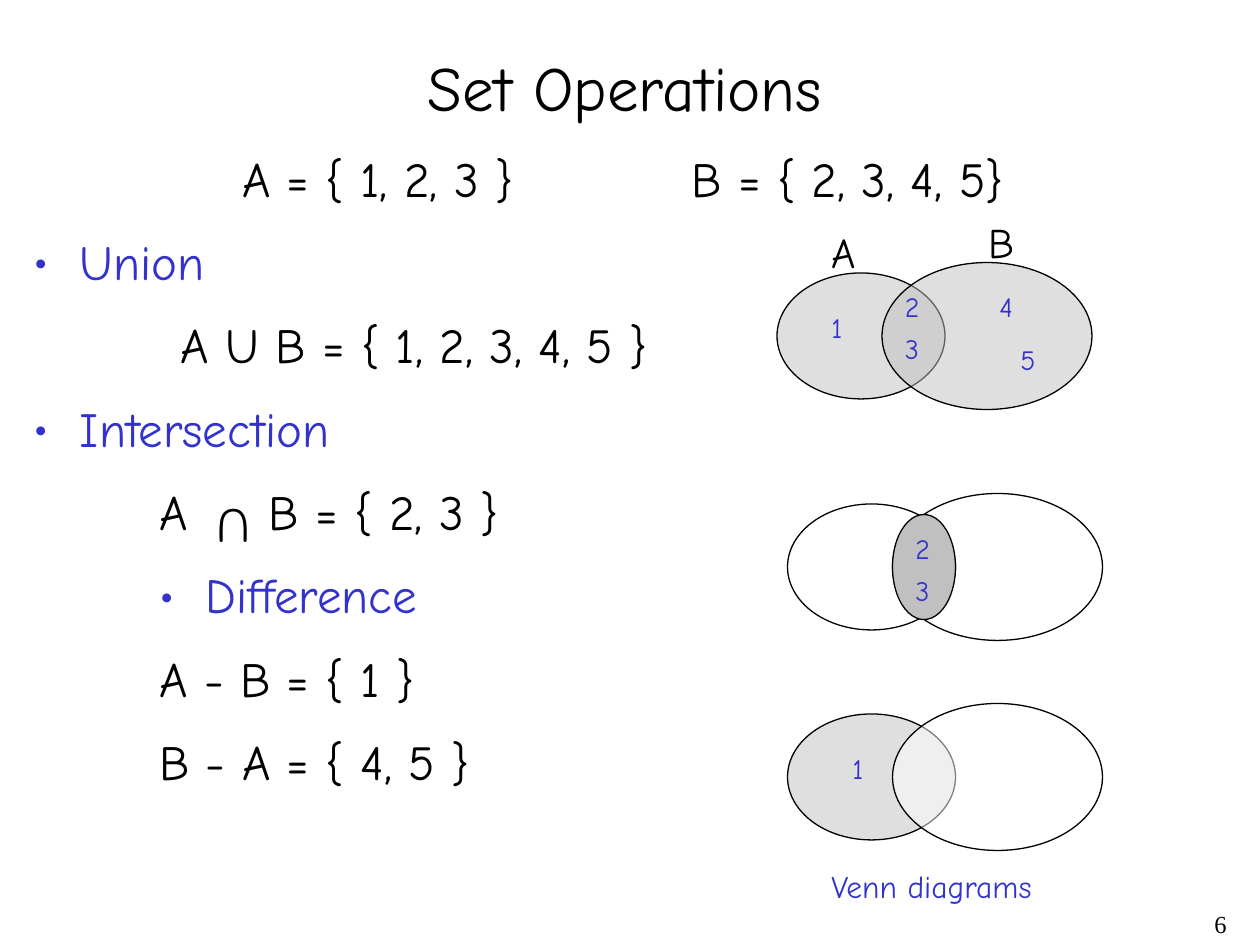
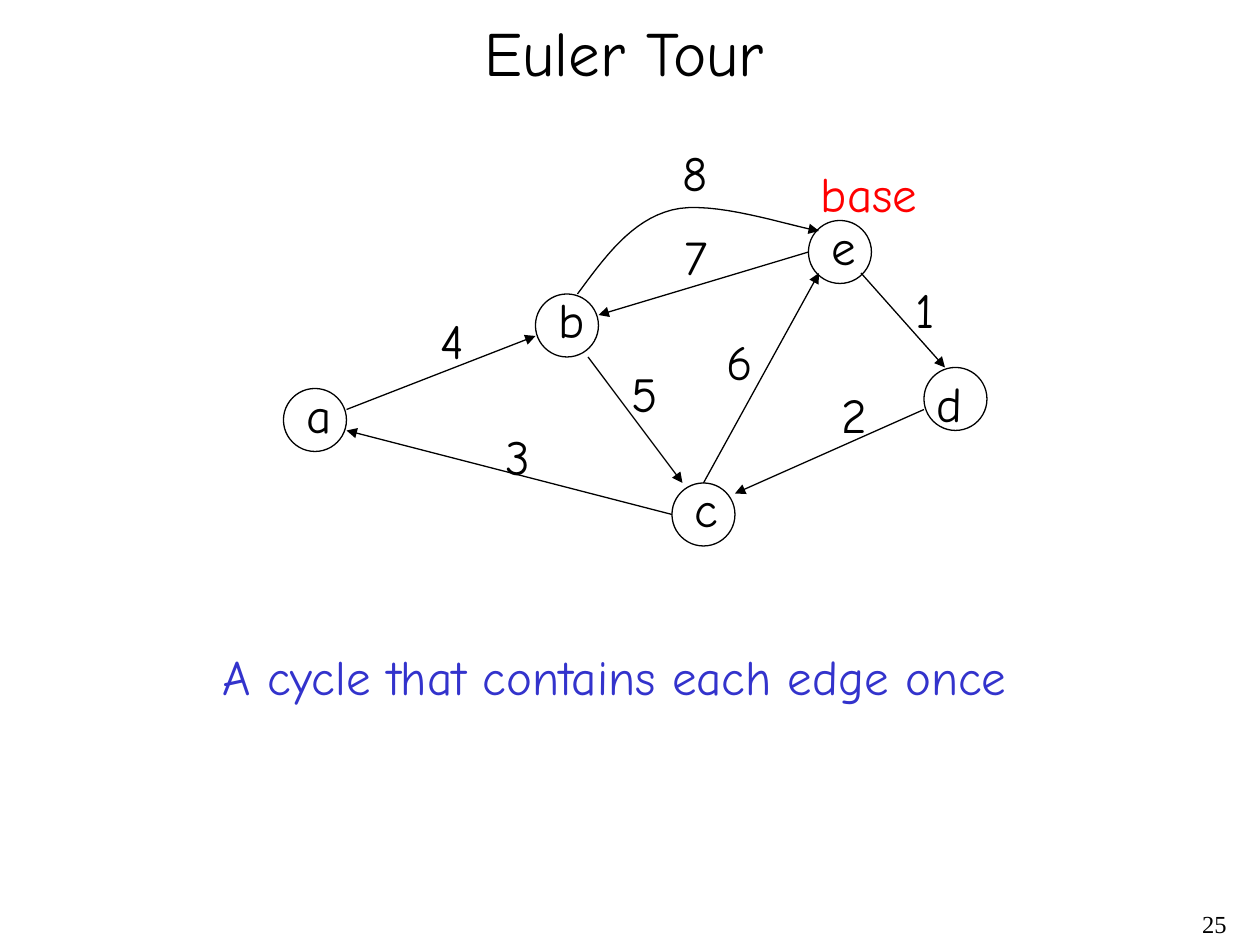
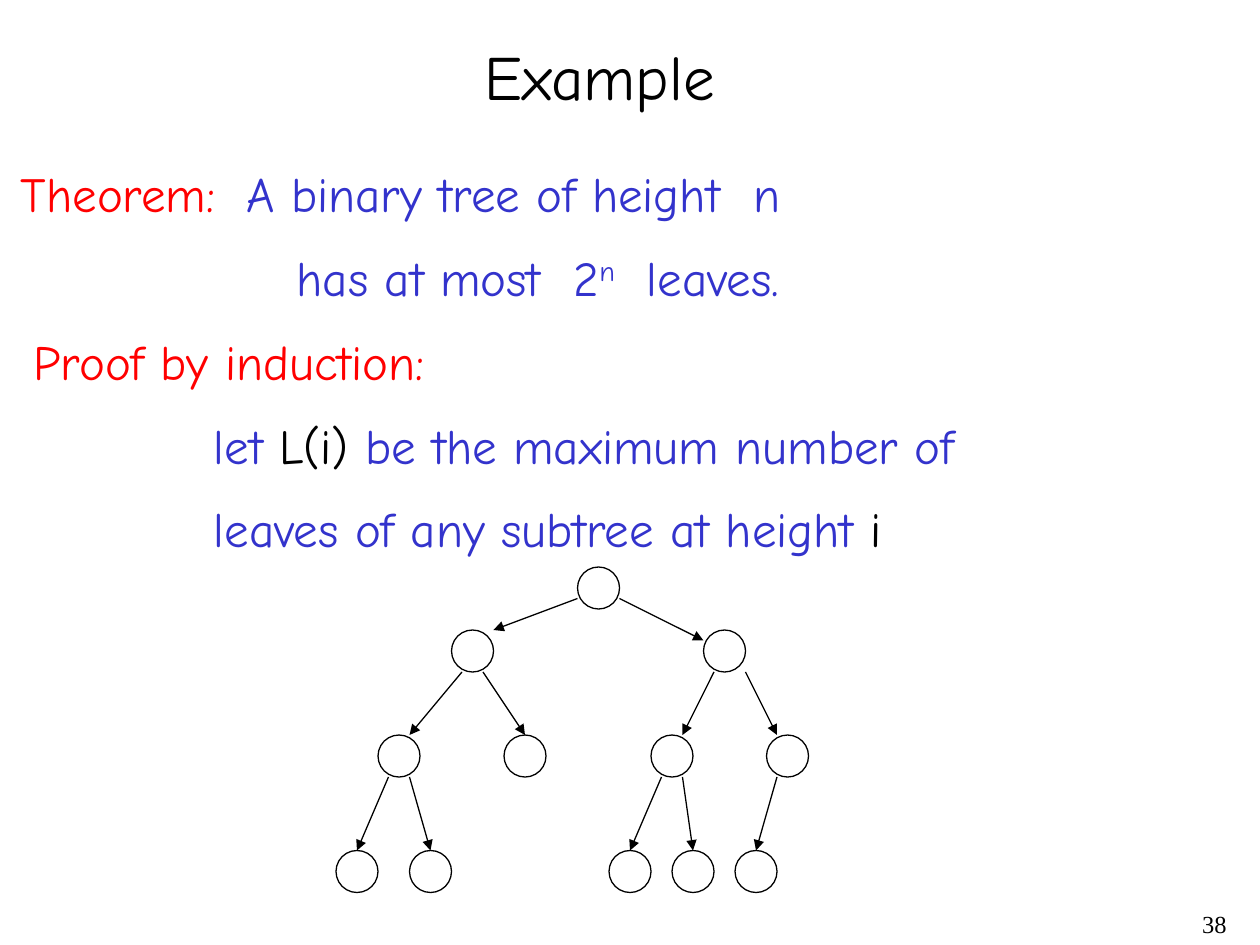
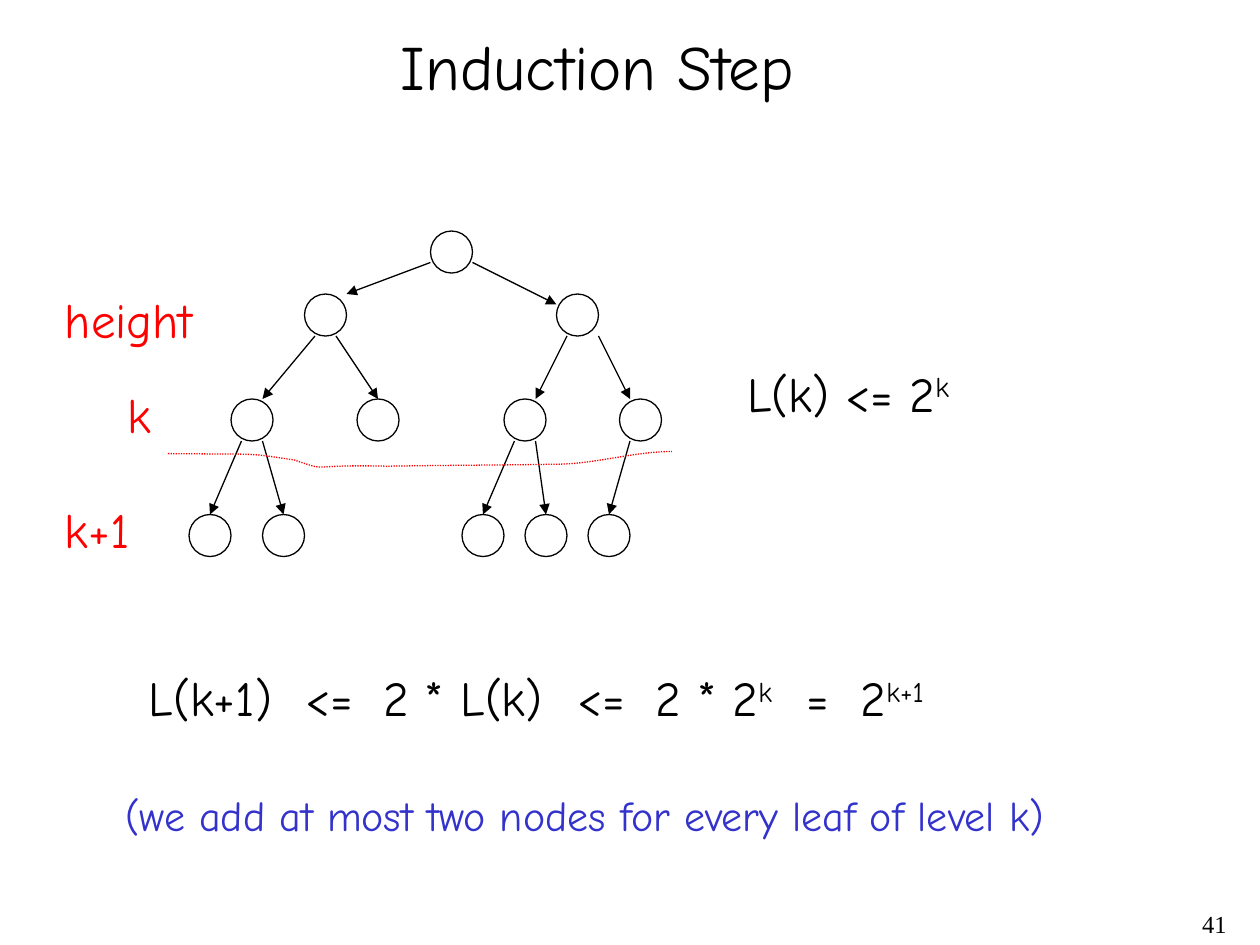
from dataclasses import dataclass
from typing import Optional

from lxml import etree
from pptx import Presentation
from pptx import util as u
from pptx.dml.color import RGBColor
from pptx.enum import dml, shapes, text
from pptx.oxml.ns import qn

COLORS = {"black": "000000", "blue": "3333CC", "red": "FF0000",
          "grey": "C0C0C0", "white": "FFFFFF"}
BODY_FONT = "Comic Neue"
NUMBER_FONT = "Times New Roman"
STEP = 2.54 / 12  # every position lies on a grid of twelve steps to the inch
NODE, LEAF = 6, 4  # circle diameters in steps
CURVE_PARTS = 16


@dataclass(frozen=True)
class Run:
    text: str
    color: Optional[str] = None
    raised: bool = False


@dataclass(frozen=True)
class Para:
    """A paragraph; left, hanging and tabs are in centimetres."""
    runs: tuple[Run, ...]
    size: Optional[int] = None
    color: Optional[str] = None
    left: float = 0
    hanging: float = 0
    tabs: tuple[float, ...] = ()
    centred: bool = False


@dataclass(frozen=True)
class Label:
    text: str
    x: float
    y: float
    width: float


@dataclass(frozen=True)
class Arrow:
    x1: float
    y1: float
    x2: float
    y2: float


def grid(steps: float) -> u.Length:
    return u.Cm(steps * STEP)


def rgb(name: str) -> RGBColor:
    return RGBColor.from_string(COLORS[name])


def line(words: str, **style) -> Para:
    return Para((Run(words),), **style)


# ---------- Text ----------
def format_paragraph(paragraph, para: Para, size: int, first: bool) -> None:
    if not first:
        paragraph.space_before = u.Pt(size / 2)
    if para.centred:
        paragraph.alignment = text.PP_ALIGN.CENTER
    props = paragraph._p.get_or_add_pPr()
    if para.left:
        props.set("marL", str(u.Cm(para.left)))
    if para.hanging:
        props.set("indent", str(-u.Cm(para.hanging)))
        etree.SubElement(props, qn("a:buFont"), typeface=BODY_FONT)
        etree.SubElement(props, qn("a:buChar"), char="•")
    # An explicit zero indent would make the renderer drop the tab stops
    if para.tabs:
        stops = etree.SubElement(props, qn("a:tabLst"))
        for stop in para.tabs:
            etree.SubElement(stops, qn("a:tab"), pos=str(u.Cm(stop)), algn="l")


def write_text(slide, content, x: float, y: float, width: float, *,
               height: Optional[float] = None, size: int = 28,
               color: str = "black", font: str = BODY_FONT,
               wrap: bool = False, right: bool = False, grow: bool = True):
    """Place a string or a list of paragraphs in a text box."""
    paras = [line(content)] if isinstance(content, str) else content
    if height is None:
        height = (1.2 * size + 1.7 * size * (len(paras) - 1) + 7.2) / 6
    box = slide.shapes.add_textbox(grid(x), grid(y), grid(width), grid(height))
    frame = box.text_frame
    frame.word_wrap = wrap
    if grow:
        frame.auto_size = text.MSO_AUTO_SIZE.SHAPE_TO_FIT_TEXT
    for i, para in enumerate(paras):
        paragraph = frame.add_paragraph() if i else frame.paragraphs[0]
        para_size = para.size or size
        format_paragraph(paragraph, para, para_size, first=i == 0)
        if right:
            paragraph.alignment = text.PP_ALIGN.RIGHT
        for part in para.runs:
            run = paragraph.add_run()
            run.text = part.text
            run.font.name = font
            run.font.size = u.Pt(para_size)
            run.font.color.rgb = rgb(part.color or para.color or color)
            if part.raised:
                run._r.get_or_add_rPr().set("baseline", "30000")
    return box


def write_labels(slide, labels: list[Label], **style) -> None:
    for label in labels:
        write_text(slide, label.text, label.x, label.y, label.width, **style)


# ---------- Drawing ----------
def style_line(item, color: str = "black", arrow: bool = False) -> None:
    item.line.color.rgb = rgb(color)
    item.line.width = u.Pt(0.75)
    if arrow:
        etree.SubElement(item.line._get_or_add_ln(), qn("a:tailEnd"), type="triangle")


def draw_oval(slide, x: float, y: float, width: float, height: float,
              fill: Optional[str] = None, alpha: int = 100) -> None:
    oval = slide.shapes.add_shape(shapes.MSO_SHAPE.OVAL, grid(x), grid(y),
                                  grid(width), grid(height))
    oval.shadow.inherit = False
    style_line(oval)
    if fill is None:
        oval.fill.background()
        return
    oval.fill.solid()
    oval.fill.fore_color.rgb = rgb(fill)
    if alpha < 100:
        tint = oval._element.spPr.find(qn("a:solidFill"))[0]
        etree.SubElement(tint, qn("a:alpha"), val=str(alpha * 1000))


def draw_arrow(slide, arrow: Arrow, dx: float = 0, dy: float = 0) -> None:
    connector = slide.shapes.add_connector(
        shapes.MSO_CONNECTOR.STRAIGHT, grid(arrow.x1 + dx), grid(arrow.y1 + dy),
        grid(arrow.x2 + dx), grid(arrow.y2 + dy))
    style_line(connector, arrow=True)
    etree.SubElement(connector._element.spPr, qn("a:effectLst"))


def draw_curve(slide, points: list[tuple[float, float]], color: str = "black",
               arrow: bool = False):
    """Draw joined cubic curves: a start, then three points for each curve."""
    trail = []
    for i in range(0, len(points) - 1, 3):
        p0, p1, p2, p3 = points[i:i + 4]
        for part in range(1, CURVE_PARTS + 1):
            t = part / CURVE_PARTS
            s = 1 - t
            trail.append(tuple(
                grid(s**3 * a + 3 * s * s * t * b + 3 * s * t * t * c + t**3 * d)
                for a, b, c, d in zip(p0, p1, p2, p3)))
    x, y = points[0]
    builder = slide.shapes.build_freeform(grid(x), grid(y))
    builder.add_line_segments(trail, close=False)
    curve = builder.convert_to_shape()
    curve.shadow.inherit = False
    curve.fill.background()
    style_line(curve, color, arrow)
    return curve


def draw_venn(slide, x: float, y: float, fill_a: Optional[str] = None,
              fill_b: Optional[str] = None) -> None:
    draw_oval(slide, x, y, 16, 12, fill_a, alpha=50)
    draw_oval(slide, x + 10, y - 1, 20, 14, fill_b, alpha=50)


# Binary tree, measured from the corner of its root: row top -> node lefts
TREE_ROWS = {0: (0,), 6: (-12, 12), 16: (-19, -7, 7, 18), 27: (-23, -16, 3, 9, 15)}
TREE_ARROWS = [
    Arrow(0, 3, -8, 6), Arrow(4, 3, 12, 7),
    Arrow(-11, 10, -16, 16), Arrow(-9, 10, -5, 16),
    Arrow(13, 10, 10, 16), Arrow(16, 10, 19, 16),
    Arrow(-18, 20, -21, 27), Arrow(-16, 20, -14, 27),
    Arrow(8, 20, 5, 27), Arrow(10, 20, 11, 27), Arrow(19, 20, 17, 27),
]


def draw_tree(slide, x: float, y: float) -> None:
    for top, lefts in TREE_ROWS.items():
        for left in lefts:
            draw_oval(slide, x + left, y + top, LEAF, LEAF)
    for arrow in TREE_ARROWS:
        draw_arrow(slide, arrow, x, y)


# ---------- Slides ----------
def new_slide(deck, number: int, title: Optional[Label] = None):
    slide = deck.slides.add_slide(deck.slide_layouts[6])
    write_text(slide, str(number), 93, 86, 25, height=4, size=14,
               font=NUMBER_FONT, wrap=True, right=True, grow=False)
    if title:
        write_labels(slide, [title], size=36)
    return slide


def build_set_operations(deck) -> None:
    slide = new_slide(deck, 6)
    write_text(slide, [
        line("Set Operations", size=36, centred=True),
        line("\tA = { 1, 2, 3 }\tB = { 2, 3, 4, 5}", tabs=(4.21, 13.27)),
        line("Union", color="blue", left=0.94, hanging=0.94),
        line("A U B = { 1, 2, 3, 4, 5 }", left=2.97),
        line("Intersection", color="blue", left=0.94, hanging=0.94),
        line("\tA\tB = { 2, 3 }", tabs=(2.54, 4.75)),
        line("Difference", color="blue", left=3.48, hanging=0.94),
        line("A - B = { 1 }", left=2.54),
        line("B - A = { 4, 5 }", left=2.54),
    ], 2, 4, 115, height=75.75, wrap=True)
    # The intersection sign is a U turned over
    cap = write_text(slide, "U", 19, 47, 6, wrap=True)
    cap.rotation = 180

    # Union, difference and intersection diagrams
    draw_venn(slide, 74, 26, "grey", "grey")
    draw_venn(slide, 75, 68, "grey", "white")
    draw_venn(slide, 75, 48)
    draw_oval(slide, 85, 49, 6, 10, "grey")
    write_labels(slide, [Label("A", 78, 21, 5.25), Label("B", 93, 20, 5)], size=24)
    write_labels(slide, [
        Label("2", 85, 27, 4), Label("3", 85, 31, 4), Label("1", 78, 29, 3.5),
        Label("4", 94, 27, 4), Label("5", 96, 32, 4),
        Label("2", 86, 50, 4), Label("3", 86, 54, 4), Label("1", 80, 71, 3.5),
    ], size=16, color="blue")
    write_text(slide, "Venn diagrams", 78, 82, 22.5, size=18, color="blue")


def build_euler_tour(deck) -> None:
    slide = new_slide(deck, 25, Label("Euler Tour", 45, 0.7, 32.25))
    # Vertices and edges
    for x, y in [(64, 46), (51, 28), (88, 35), (27, 37), (77, 21)]:
        draw_oval(slide, x, y, NODE, NODE)
    for arrow in [
        Arrow(33, 39, 51, 32), Arrow(56, 34, 65, 46), Arrow(67, 46, 78, 26),
        Arrow(88, 39, 70, 47), Arrow(64, 49, 33, 41), Arrow(82, 26, 90, 35),
        Arrow(77, 24, 57, 30),
    ]:
        draw_arrow(slide, arrow)
    draw_curve(slide, [(55, 28), (57.6, 24.5), (60.1, 21), (64, 20),
                       (67.8, 19), (75.1, 21.5), (78, 22)], arrow=True)
    # Vertex names, then the order of the edges
    write_labels(slide, [
        Label("a", 28, 36, 4.75), Label("b", 52, 27, 5.25), Label("c", 65, 45, 4.75),
        Label("d", 88, 35, 5.25), Label("e", 78, 20, 5),
        Label("1", 86, 26, 4.5), Label("2", 79, 36, 5.25), Label("3", 47, 40, 5.25),
        Label("4", 40.75, 29, 5.25), Label("5", 59, 34, 5.25),
        Label("6", 68, 31, 5.25), Label("7", 64, 21, 5.25),
        Label("8", 63.85, 13, 5.25),
    ])
    write_text(slide, "base", 77, 15, 12.25, color="red")
    write_text(slide, "A cycle that contains each edge once", 20, 61, 83, color="blue")


def build_example(deck) -> None:
    slide = new_slide(deck, 38, Label("Example", 45, 3, 25.5))
    write_text(slide, [
        Para((Run("Theorem:", "red"), Run("\tA binary tree of height\tn")),
             tabs=(4.55, 14.78)),
        Para((Run("\thas at most\t2"), Run("n", raised=True), Run("\tleaves.")),
             tabs=(5.56, 11.15, 12.62)),
    ], 0.8, 15, 82, color="blue", wrap=True)
    write_text(slide, [
        line("Proof by induction:", color="red"),
        Para((Run("let "), Run("L(i)", "black"), Run(" be the maximum number of")),
             left=3.64),
        Para((Run("leaves of any subtree at height "), Run("i", "black")), left=3.64),
    ], 2, 31, 94.25, color="blue", wrap=True)
    draw_tree(slide, 55, 54)


def build_induction_step(deck) -> None:
    slide = new_slide(deck, 41, Label("Induction Step", 37, 2, 44.75))
    # Bounds on the number of leaves
    write_text(slide, [Para((Run("L(k) <= 2"), Run("k", raised=True)))], 70, 34, 22.5)
    write_text(slide, [Para(
        (Run("L(k+1)\t<=\t2 * L(k)\t<=\t2 * 2"), Run("k", raised=True),
         Run("\t=\t2"), Run("k+1", raised=True)),
        tabs=(3.15, 4.72, 8.64, 10.21, 13.26, 14.35))], 13, 63, 79.5, wrap=True)
    # Tree cut below level k
    write_labels(slide, [Label("height", 5, 27, 16.25), Label("k", 11, 36, 5),
                         Label("k+1", 5, 47, 9.25)], color="red")
    draw_tree(slide, 41, 22)
    cut = draw_curve(slide, [
        (16, 43.2), (25.4, 43.3), (23.2, 43.1), (28, 43.8),
        (31.6, 45), (28.7, 44.2), (37, 44.4),
        (42.5, 44.3), (48, 44.3), (53.5, 44.2),
        (57, 44.1), (60.5, 43), (64, 43)], "red")
    cut.line.dash_style = dml.MSO_LINE.ROUND_DOT
    write_text(slide, "(we add at most two nodes for every leaf of level k)",
               10.75, 74.6, 99, size=24, color="blue")


def main() -> None:
    deck = Presentation()
    deck.slide_width, deck.slide_height = u.Cm(25.4), u.Cm(19.05)
    build_set_operations(deck)
    build_euler_tour(deck)
    build_example(deck)
    build_induction_step(deck)
    deck.save("out.pptx")


if __name__ == "__main__":
    main()
